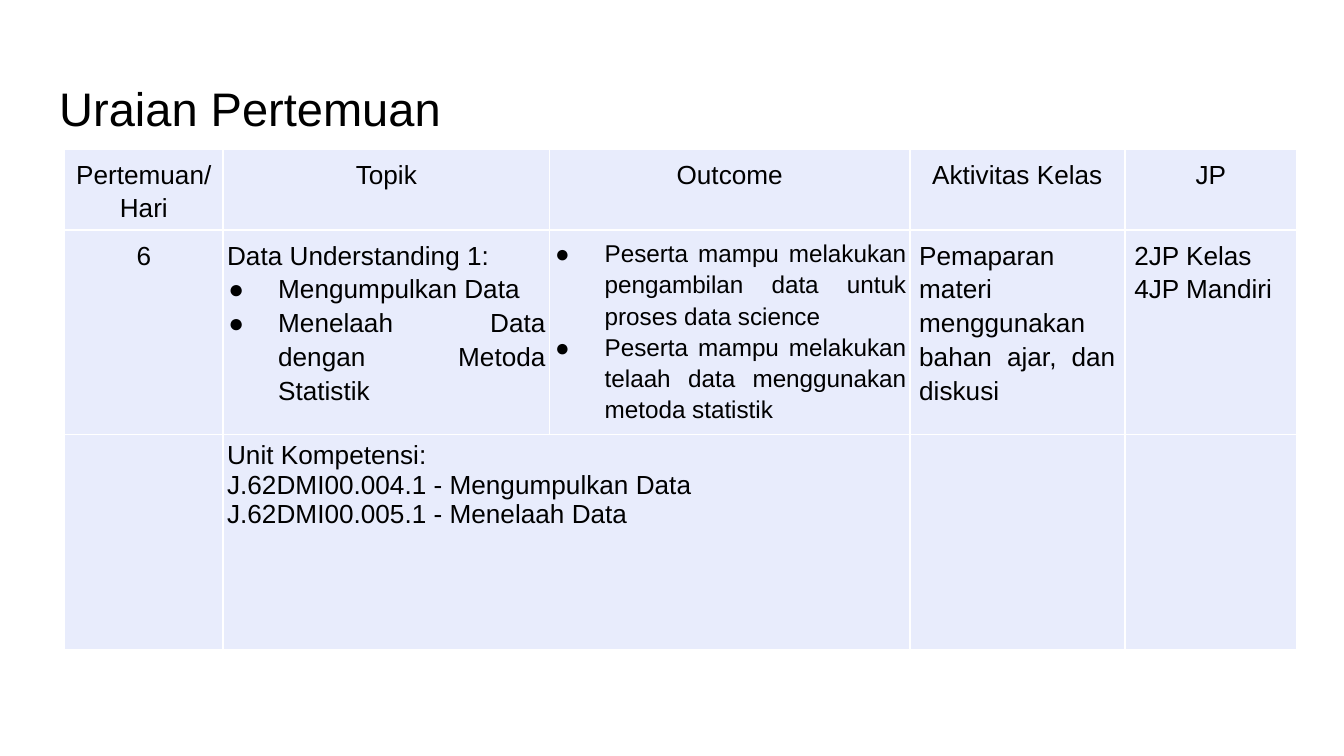
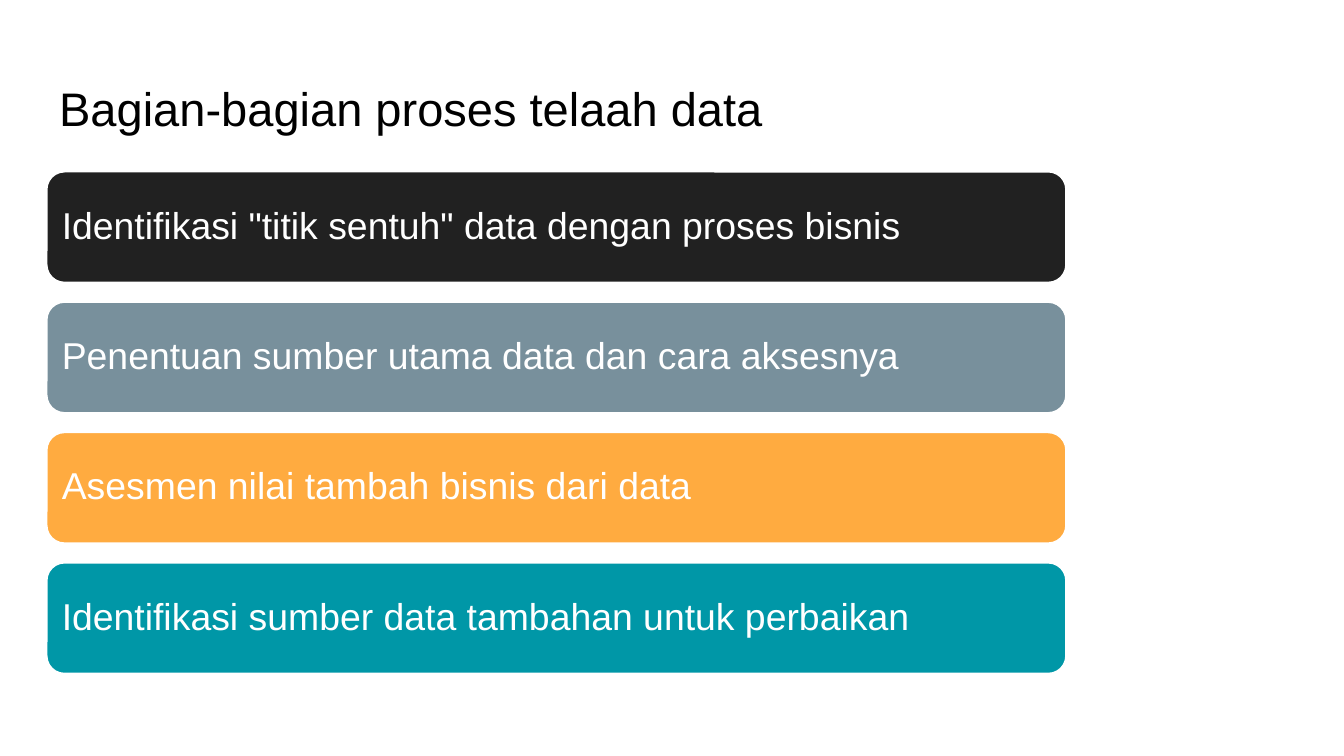
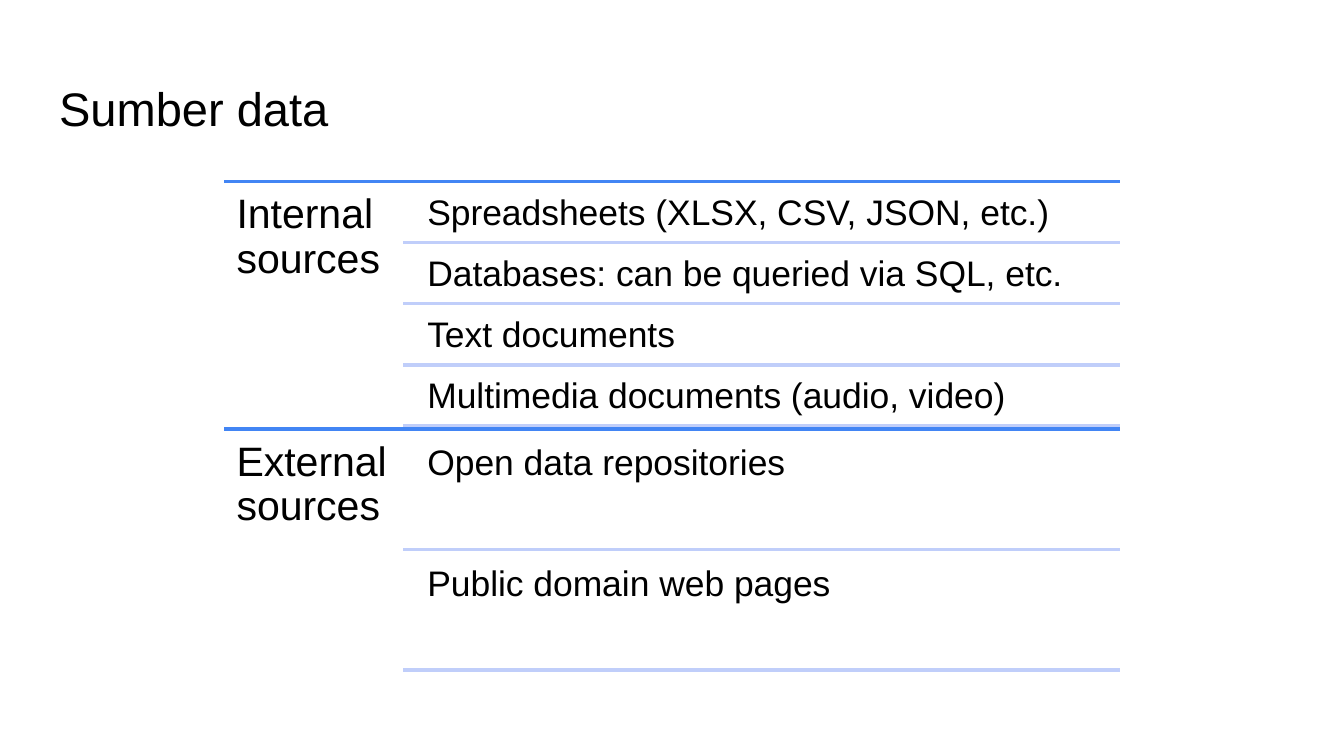
from dataclasses import dataclass

from pptx import Presentation
from pptx.dml.color import RGBColor
from pptx.enum import shapes, text
from pptx.oxml import parse_xml
from pptx.oxml.ns import nsdecls
from pptx.util import Inches, Pt


@dataclass(frozen=True)
class Theme:
    """Hold the shared colours, font and type sizes."""

    font: str = "Arial"
    ink: str = "000000"
    paper: str = "FFFFFF"
    cell: str = "E8ECFC"
    rule: str = "4285F4"
    thin: str = "C0CEFA"
    bars: tuple = ("212121", "78909C", "FFAB40", "0097A7")
    title: float = 25.2
    head: float = 22
    bar: float = 20
    item: float = 19
    body: float = 14
    small: float = 13


THEME = Theme()
LEFT, MID, JUST = text.PP_ALIGN.LEFT, text.PP_ALIGN.CENTER, text.PP_ALIGN.JUSTIFY
TOP, CENTER = text.MSO_ANCHOR.TOP, text.MSO_ANCHOR.MIDDLE


def rgb(code):
    """Turn a hex code into a colour."""
    return RGBColor.from_string(code)


def box(*sizes):
    """Turn several numbers into inch lengths."""
    return [Inches(size) for size in sizes]


def bullet(para):
    """Give a paragraph a round bullet and a hanging indent."""
    props = para._p.get_or_add_pPr()
    props.set("marL", str(Inches(0.38)))
    props.set("indent", str(Inches(-0.37)))
    space = nsdecls("a")
    for mark in (f'<a:buClr {space}><a:srgbClr val="{THEME.ink}"/></a:buClr>',
                 f'<a:buFont {space} typeface="{THEME.font}"/>',
                 f'<a:buChar {space} char="●"/>'):
        props.append(parse_xml(mark))


def write(frame, words, size=THEME.body, color=THEME.ink, align=LEFT, space=1.0):
    """Fill a frame with lines; a line that starts with * gets a bullet."""
    for at, line in enumerate(words.split("\n")):
        para = frame.add_paragraph() if at else frame.paragraphs[0]
        para.alignment, para.line_spacing = align, space
        if line.startswith("*"):
            bullet(para)
        run = para.add_run()
        run.text = line.lstrip("*")
        run.font.name, run.font.size = THEME.font, Pt(size)
        run.font.color.rgb = rgb(color)


def fit(frame, inset, anchor=TOP):
    """Set wrapping, margins and anchor of a frame."""
    frame.word_wrap = True
    frame.auto_size = text.MSO_AUTO_SIZE.NONE
    frame.vertical_anchor = anchor
    frame.margin_left = frame.margin_right = Inches(inset)
    frame.margin_top = frame.margin_bottom = Inches(inset)


def page(deck, words):
    """Add a slide with its title."""
    slide = deck.slides.add_slide(deck.slide_layouts[5])
    title = slide.shapes.title
    title.left, title.top, title.width, title.height = box(0.34, 0.49, 9.32, 0.63)
    fit(title.text_frame, 0.1)
    write(title.text_frame, words, size=THEME.title)
    return slide


def label(group, place, words, inset=0.08, anchor=TOP, **look):
    """Add a text box to a group."""
    frame = group.shapes.add_textbox(*box(*place)).text_frame
    fit(frame, inset, anchor)
    write(frame, words, space=0.9, **look)


def line(group, left, top, color):
    """Add a level line that ends at the right edge of the list."""
    link = group.shapes.add_connector(
        shapes.MSO_CONNECTOR.STRAIGHT, *box(left, top, 8.33, top))
    link.line.color.rgb, link.line.width = rgb(color), Pt(2)
    link._element.spPr.append(parse_xml(f'<a:effectLst {nsdecls("a")}/>'))


def bar(group, top, color, words):
    """Add a rounded bar with its text."""
    shape = group.shapes.add_shape(
        shapes.MSO_SHAPE.ROUNDED_RECTANGLE, *box(0.34, top, 7.6, 0.84))
    shape.shadow.inherit = False
    shape.fill.solid()
    shape.fill.fore_color.rgb = rgb(color)
    shape.line.color.rgb, shape.line.width = rgb(THEME.paper), Pt(2)
    label(group, (0.38, top + 0.04, 7.52, 0.76), words, anchor=CENTER,
          size=THEME.bar, color=THEME.paper)


def part(group, top, name, items):
    """Add a named section with ruled rows that share its height."""
    tall, count = 1.84, len(items)
    row = tall / (count + 0.05 * (count + 1))
    gap = 0.05 * row
    line(group, 1.67, top, THEME.rule)
    label(group, (1.67, top, 1.33, tall), name, inset=0.09, size=THEME.head)
    for at, item in enumerate(items):
        head = top + gap + at * (row + gap)
        label(group, (3.1, head, 5.23, row), item, size=THEME.item)
        line(group, 3, head + row, THEME.thin)


def paint(cell, side):
    """Set fill, margins and white borders of a cell."""
    cell.fill.solid()
    cell.fill.fore_color.rgb = rgb(THEME.cell)
    cell.margin_left = cell.margin_right = Inches(side)
    cell.margin_top = cell.margin_bottom = Inches(0.05)
    for at, edge in enumerate("LRTB"):
        cell._tc.get_or_add_tcPr().insert(at, parse_xml(
            f'<a:ln{edge} {nsdecls("a")} w="{Pt(0.96)}"><a:solidFill>'
            f'<a:srgbClr val="{THEME.paper}"/></a:solidFill></a:ln{edge}>'))


def grid(slide, place, cols, rows, cells):
    """Add a table; each cell holds words and their format."""
    table = slide.shapes.add_table(len(rows), len(cols), *box(*place)).table
    table.first_row = table.horz_banding = False
    for col, wide in zip(table.columns, cols):
        col.width = Inches(wide)
    for row, high in zip(table.rows, rows):
        row.height = Inches(high)
    for y in range(len(rows)):
        for x in range(len(cols)):
            cell = table.cell(y, x)
            paint(cell, 0.03 if x < 3 else 0.07)
            if (y, x) in cells:
                words, look = cells[y, x]
                write(cell.text_frame, words, **look)
    return table


def plan(deck):
    """Build the slide with the meeting table."""
    slide = page(deck, "Uraian Pertemuan")
    mid = dict(align=MID, space=1.15)
    just = dict(align=JUST, space=1.15)
    heads = "Pertemuan/Hari", "Topik", "Outcome", "Aktivitas Kelas", "JP"
    cells = {(0, x): (head, mid) for x, head in enumerate(heads)}
    cells.update({
        (1, 0): ("6", mid),
        (1, 1): ("Data Understanding 1:\n*Mengumpulkan Data\n"
                 "*Menelaah Data dengan Metoda Statistik", just),
        (1, 2): ("*Peserta mampu melakukan pengambilan data untuk proses data "
                 "science\n*Peserta mampu melakukan telaah data menggunakan "
                 "metoda statistik", dict(just, size=THEME.small)),
        (1, 3): ("Pemaparan materi menggunakan bahan ajar, dan diskusi", just),
        (1, 4): ("2JP Kelas\n4JP Mandiri", just),
        (2, 1): ("Unit Kompetensi:\nJ.62DMI00.004.1 - Mengumpulkan Data\n"
                 "J.62DMI00.005.1 - Menelaah Data", {}),
    })
    table = grid(slide, (0.48, 1.11, 9.18, 3.79), (1.18, 2.43, 2.68, 1.6, 1.28),
                 (0.56, 1.52, 1.6), cells)
    table.cell(2, 1).merge(table.cell(2, 2))


def steps(deck):
    """Build the slide with the coloured bars."""
    group = page(deck, "Bagian-bagian proses telaah data").shapes.add_group_shape()
    items = ('Identifikasi "titik sentuh" data dengan proses bisnis',
             "Penentuan sumber utama data dan cara aksesnya",
             "Asesmen nilai tambah bisnis dari data",
             "Identifikasi sumber data tambahan untuk perbaikan")
    for at, (color, item) in enumerate(zip(THEME.bars, items)):
        bar(group, 1.27 + at * 0.97, color, item)


def origins(deck):
    """Build the slide with the ruled list of sources."""
    group = page(deck, "Sumber data").shapes.add_group_shape()
    part(group, 1.35, "Internal sources", (
        "Spreadsheets (XLSX, CSV, JSON, etc.)",
        "Databases: can be queried via SQL, etc.",
        "Text documents",
        "Multimedia documents (audio, video)"))
    part(group, 3.19, "External sources", (
        "Open data repositories", "Public domain web pages"))


def main():
    """Build and save the deck."""
    deck = Presentation()
    deck.slide_width = Inches(10)
    deck.slide_height = deck.slide_width * 9 // 16
    plan(deck)
    steps(deck)
    origins(deck)
    deck.save("out.pptx")


if __name__ == "__main__":
    main()
